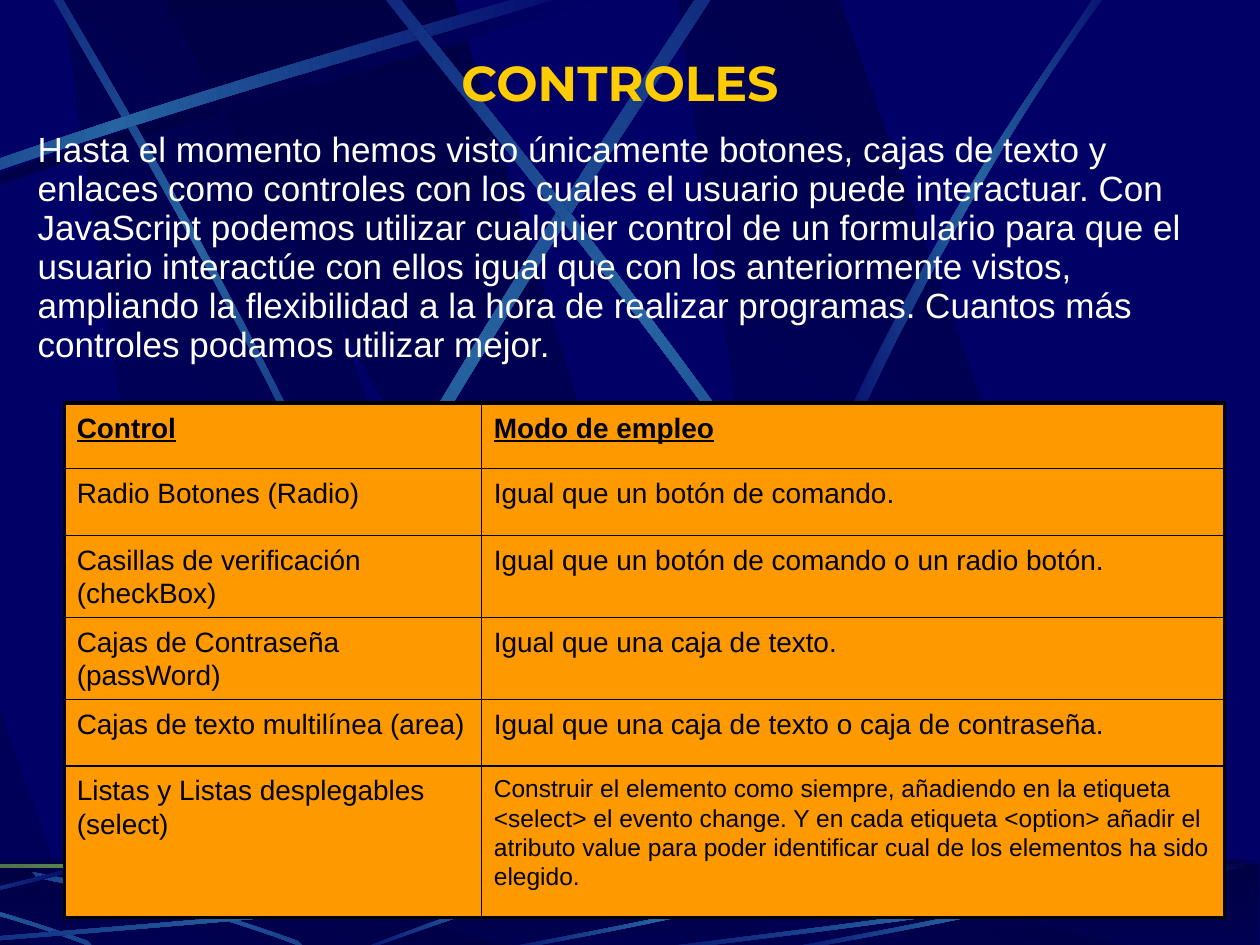
from dataclasses import dataclass
from math import cos, radians, sin

from lxml.etree import SubElement as Sub
from pptx import Presentation
from pptx.dml.color import RGBColor as RGB
from pptx.enum.shapes import MSO_SHAPE as Shape
from pptx.enum.text import MSO_ANCHOR as Anchor, PP_ALIGN as Align
from pptx.oxml.ns import qn
from pptx.util import Inches, Pt


@dataclass(frozen=True)
class Theme:
    back: str = "000066"
    dark: str = "000044"
    beam: str = "2663A0"
    glow: str = "9CE157"
    gold: str = "FFCC00"
    cell: str = "FF9900"
    ink: str = "000000"
    white: str = "FFFFFF"
    head: str = "Montserrat"
    font: str = "Arial"
    title: int = 28
    gap: int = 44
    body: int = 20
    row: int = 16
    note: int = 14
    thick: float = 2.25
    thin: float = 1


def move(pts, dx, dy=0):
    return [(x + dx, y + dy) for x, y in pts]


def fit(pts, left, top, wide, high):
    """Stretch a unit outline over a box."""
    return [(left + x * wide, top + y * high) for x, y in pts]


def spin(x, y, turn):
    """Turn a point clockwise about the slide's corner."""
    c, s = cos(radians(turn)), sin(radians(turn))
    return x * c - y * s, x * s + y * c


class Deck:
    def __init__(self, theme):
        self.theme = theme
        self.prs = Presentation()
        self.prs.slide_width, self.prs.slide_height = Inches(10), Inches(7.5)
        self.slide = self.prs.slides.add_slide(self.prs.slide_layouts[6])
        fill = self.slide.background.fill
        fill.solid()
        fill.fore_color.rgb = RGB.from_string(theme.back)

    def paint(self, shape, hues, turn):
        """Even gradient; turn is clockwise in degrees."""
        shape.shadow.inherit = False
        shape.line.fill.background()
        shape.fill.gradient()
        shape.fill.gradient_angle = -turn % 360
        stops = shape._element.spPr.find(qn("a:gradFill")).find(qn("a:gsLst"))
        for old in list(stops):
            stops.remove(old)
        for i, hue in enumerate(hues):
            stop = Sub(stops, qn("a:gs"), pos=str(100000 * i // (len(hues) - 1)))
            Sub(stop, qn("a:srgbClr"), val=hue)

    def poly(self, pts, hues, turn):
        dots = [(Inches(x), Inches(y)) for x, y in pts]
        pen = self.slide.shapes.build_freeform(*dots[0])
        pen.add_line_segments(dots[1:], close=True)
        shape = pen.convert_to_shape()
        self.paint(shape, hues, turn)
        return shape

    def beam(self, pts, turn=0, core=None):
        """Ribbon between two cubic curves of four points each, lying at a turn."""
        edge = self.theme.back
        flat = [spin(x, y, -turn) for x, y in pts]
        shape = self.poly(flat, (edge, core or self.theme.beam, edge), 0)
        lines = list(shape._element.iter(qn("a:lnTo")))
        for first in (0, 4):
            trio = lines[first:first + 3]
            curve = Sub(trio[0].getparent(), qn("a:cubicBezTo"))
            trio[0].addprevious(curve)
            for line in trio:
                curve.append(line[0])
                line.getparent().remove(line)
        x, y = shape.left + shape.width / 2, shape.top + shape.height / 2
        cx, cy = spin(x, y, turn)
        shape.left, shape.top = round(shape.left + cx - x), round(shape.top + cy - y)
        shape.rotation = turn

    def panel(self, pts, turn):
        self.poly(pts, (self.theme.dark, self.theme.back), turn)

    def band(self, top, high):
        return self.slide.shapes.add_shape(
            Shape.RECTANGLE, Inches(-3.33), Inches(top), Inches(13.32), Inches(high))

    def veil(self, top, high):
        """Half-clear dark band."""
        shape = self.band(top, high)
        shape.shadow.inherit = False
        shape.line.fill.background()
        shape.fill.solid()
        shape.fill.fore_color.rgb = RGB.from_string(self.theme.dark)
        Sub(shape._element.spPr.find(".//" + qn("a:srgbClr")), qn("a:alpha"), val="50000")

    def style(self, run, size, hue, face=None, bold=False, under=False):
        font = run.font
        font.name, font.size = face or self.theme.font, Pt(size)
        font.color.rgb = RGB.from_string(hue)
        font.bold, font.underline = bold, under

    def text(self, words, box):
        frame = self.slide.shapes.add_textbox(*map(Inches, box)).text_frame
        frame.word_wrap = True
        frame.text = words
        para = frame.paragraphs[0]
        para.line_spacing = 0.93
        return frame, para

    def title(self, words, box):
        th = self.theme
        frame, para = self.text(words, box)
        frame.vertical_anchor = Anchor.MIDDLE
        para.alignment = Align.CENTER
        self.style(para.runs[0], th.title, th.gold, th.head, bold=True)
        tail = para.add_run()
        tail.text = " "
        self.style(tail, th.gap, th.gold, th.head)

    def body(self, words, box):
        para = self.text(words, box)[1]
        para.space_before = Pt(8)
        self.style(para.runs[0], self.theme.body, self.theme.white)

    def edge(self, cell, sides):
        props = cell._tc.get_or_add_tcPr()
        for i, (side, width) in enumerate(zip("LRTB", sides)):
            line = Sub(props, qn("a:ln" + side), w=str(Pt(width)))
            Sub(Sub(line, qn("a:solidFill")), qn("a:srgbClr"), val=self.theme.ink)
            props.insert(i, line)

    def table(self, rows, left, top, wides, highs):
        th = self.theme
        grid = self.slide.shapes.add_table(
            len(rows), len(wides), Inches(left), Inches(top),
            Inches(sum(wides)), Inches(sum(highs))).table
        grid.first_row = grid.horz_banding = False
        for col, wide in zip(grid.columns, wides):
            col.width = Inches(wide)
        last, end = len(rows) - 1, len(wides) - 1
        for r, (row, high) in enumerate(zip(rows, highs)):
            grid.rows[r].height = Inches(high)
            for c, words in enumerate(row):
                cell = grid.cell(r, c)
                cell.fill.solid()
                cell.fill.fore_color.rgb = RGB.from_string(th.cell)
                cell.margin_top, cell.margin_bottom = Inches(0.06), Inches(0.02)
                cell.text_frame.text = words
                para = cell.text_frame.paragraphs[0]
                para.line_spacing = 1.07
                size = th.note if (r, c) == (last, end) else th.row
                self.style(para.runs[0], size, th.ink, bold=r == 0, under=r == 0)
                outer = (c == 0, c == end, r == 0, r == last)
                self.edge(cell, [th.thick if out else th.thin for out in outer])


SLAT = [(1.59, 7.58), (4.47, 7.6), (1.66, -0.35), (0.45, -0.34)]
WEDGE = [(1.11, -0.35), (5.44, 7.57), (5.92, 7.57), (3.5, -0.36)]
FOOT = [(1.59, 7.61), (4.47, 7.61), (1.66, 6.91), (0.45, 6.91)]
BASE = [(1.11, 6.91), (5.44, 7.61), (5.92, 7.61), (3.5, 6.91)]
SWEEP = [(-3.14, 2.46), (0.38, 0.96), (3.57, 0.17), (4.93, -0.26),
         (4.97, -0.19), (3.63, 0.28), (-0.02, 1.15), (-3.1, 2.56)]
RAYS = [
    (45, [(2.96, 4.68), (1.85, 2.18), (0.58, 0.17), (0.08, -0.73),
          (0.03, -0.71), (0.5, 0.19), (1.97, 2.47), (2.9, 4.71)]),
    (0, SWEEP),
    (321, [(1.6, 6.69), (3.34, 3.1), (5.32, 0.35), (6.1, -0.91),
           (6.18, -0.87), (5.44, 0.41), (3.15, 3.52), (1.7, 6.76)]),
    (35, [(7.59, 6.05), (5.57, 2.8), (3.41, 0.33), (2.54, -0.81),
          (2.47, -0.77), (3.3, 0.38), (5.8, 3.18), (7.51, 6.11)]),
    (0, [(6.5, 3.8), (7.52, 1.47), (8.51, 0.33), (8.89, -0.36),
         (9.02, -0.36), (7.81, 1.17), (6.92, 3.04), (6.59, 3.84)]),
]
BEND = [(5.02, 6.84), (3.82, 7.13), (3.03, 7.48), (2.65, 7.61),
        (2.7, 7.61), (3.2, 7.43), (4.29, 7.03), (5.05, 6.87)]
SPUR = [(2.37, 7.47), (1.3, 7.08), (0.6, 7), (0.26, 6.92),
        (0.29, 6.96), (0.65, 7.06), (1.42, 7.13), (2.41, 7.52)]
ARC = [(1, 0.04), (0.57, 0.57), (0.17, 0.85), (0, 1),
       (0, 0.97), (0.16, 0.81), (0.62, 0.49), (1, 0)]
ARCS = [(-1.99, 6.83, 8.22, 0.79), (-2.77, 6.83, 3.55, 0.79), (3.69, 6.91, 3.08, 0.7),
        (5.89, 6.83, 3.55, 0.79), (4.66, 6.83, 5.33, 0.79)]
SHIFTS = (0, -3.78, 4.88)

INTRO = ("Hasta el momento hemos visto únicamente botones, cajas de texto y enlaces como "
         "controles con los cuales el usuario puede interactuar. Con JavaScript podemos "
         "utilizar cualquier control de un formulario para que el usuario interactúe con "
         "ellos igual que con los anteriormente vistos, ampliando la flexibilidad a la hora "
         "de realizar programas. Cuantos más controles podamos utilizar mejor.")
ROWS = [
    ("Control", "Modo de empleo"),
    ("Radio Botones (Radio)", "Igual que un botón de comando."),
    ("Casillas de verificación (checkBox)", "Igual que un botón de comando o un radio botón."),
    ("Cajas de Contraseña (passWord)", "Igual que una caja de texto."),
    ("Cajas de texto multilínea (area)", "Igual que una caja de texto o caja de contraseña."),
    ("Listas y Listas desplegables (select)",
     "Construir el elemento como siempre, añadiendo en la etiqueta <select> el evento "
     "change. Y en cada etiqueta <option> añadir el atributo value para poder identificar "
     "cual de los elementos ha sido elegido."),
]


def scene(deck):
    """Night backdrop: panels, light beams and a horizon."""
    th = deck.theme
    for dx in SHIFTS:
        deck.panel(move(SLAT, dx), 135)
    deck.panel(WEDGE, 90)
    deck.beam(move(SWEEP, 0.08, 0.09), core=th.dark)
    for turn, ray in RAYS:
        deck.beam(ray, turn)
    deck.paint(deck.band(6.83, 0.79), (th.dark, th.back), 90)
    for dx in SHIFTS:
        deck.panel(move(FOOT, dx), 135)
    deck.panel(BASE, 90)
    deck.veil(6.82, 0.79)
    deck.beam(BEND)
    for dx in (0, -1.67):
        deck.beam(move(SPUR, dx), 315)
    for box in ARCS:
        deck.beam(fit(ARC, *box))
    deck.paint(deck.band(6.86, 0.03), (th.dark, th.glow, th.dark), 0)


def main():
    deck = Deck(Theme())
    scene(deck)
    deck.title("CONTROLES", (0.75, 0.21, 8.5, 0.79))
    deck.body(INTRO, (0.2, 0.99, 9.61, 6.51))
    deck.table(ROWS, 0.51, 3.2, (3.31, 5.9), (0.52, 0.53, 0.65, 0.65, 0.53, 1.2))
    deck.prs.save("out.pptx")


if __name__ == "__main__":
    main()
